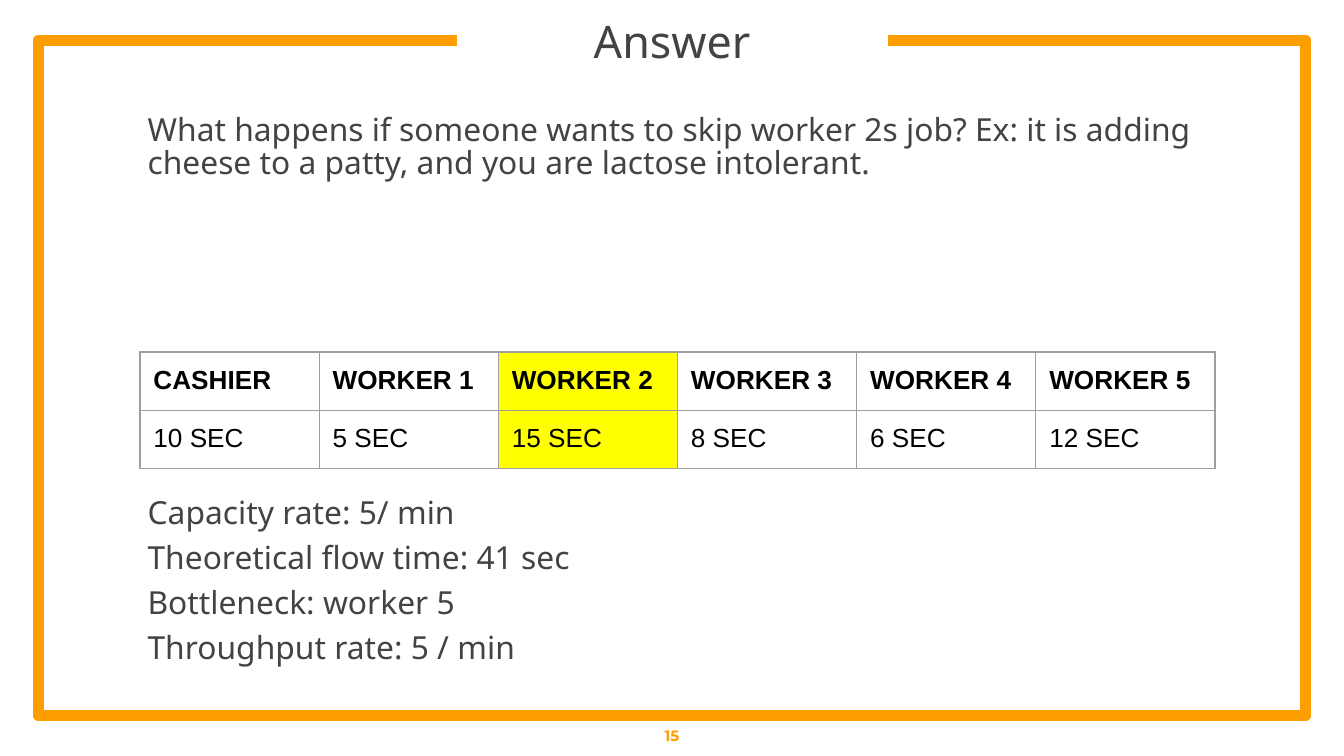
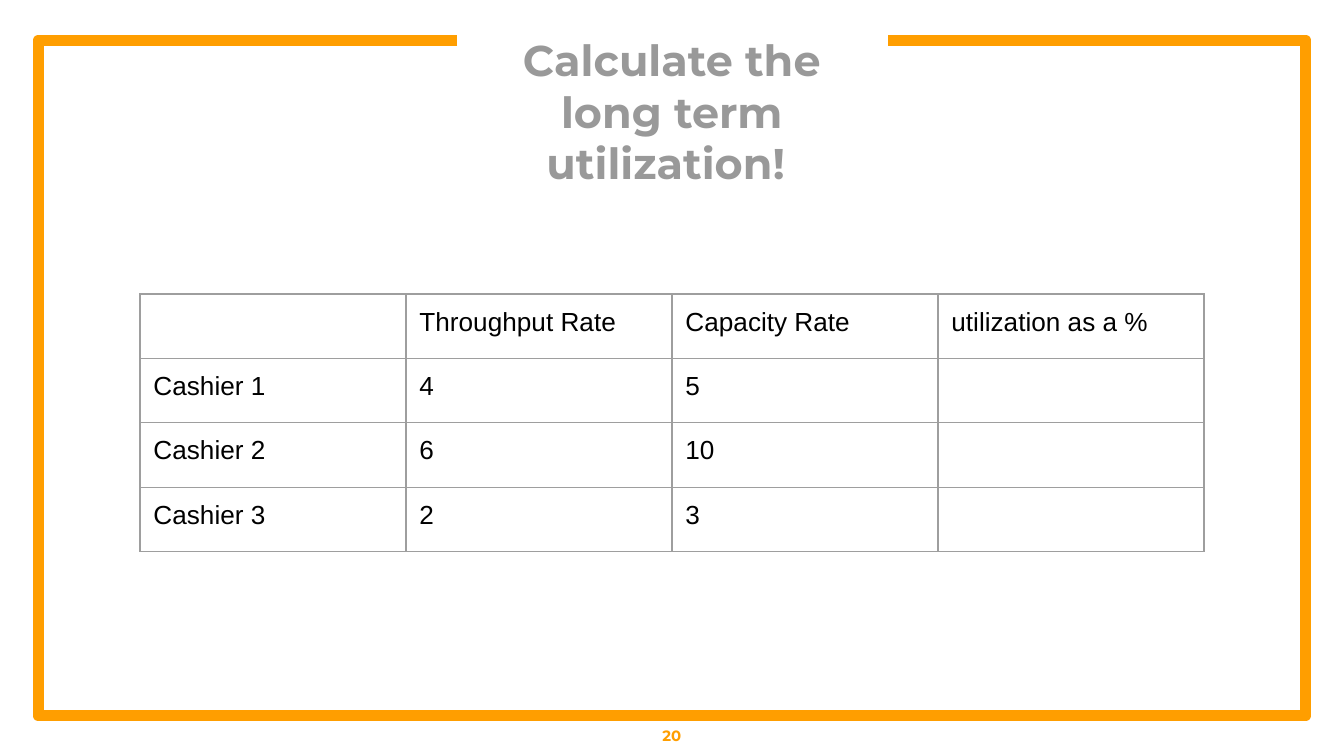
from dataclasses import dataclass

from lxml.etree import SubElement
from pptx import Presentation
from pptx.dml.color import RGBColor
from pptx.enum.text import MSO_ANCHOR, PP_ALIGN
from pptx.oxml.ns import qn
from pptx.util import Pt

# Content
SLIDES = [
    dict(
        number="15", title="Answer", title_style="plain_title", title_top=8,
        question="What happens if someone wants to skip worker 2s job? Ex: it is "
                 "adding cheese to a patty, and you are lactose intolerant.",
        results=["Capacity rate: 5/ min", "Theoretical flow time: 41 sec",
                 "Bottleneck: worker 5", "Throughput rate: 5 / min"],
        table=dict(
            top=188.6, col_width=96, row_height=30.2, bold_header=True, marked_col=2,
            rows=[["CASHIER", "WORKER 1", "WORKER 2", "WORKER 3", "WORKER 4", "WORKER 5"],
                  ["10 SEC", "5 SEC", "15 SEC", "8 SEC", "6 SEC", "12 SEC"]]),
    ),
    dict(
        number="20", title="Calculate the long term utilization! ",
        title_style="bold_title", title_top=45.5,
        table=dict(
            top=157.5, col_width=142.5, row_height=34.5, bold_header=False, marked_col=None,
            rows=[["", "Throughput Rate", "Capacity Rate", "utilization as a %"],
                  ["Cashier 1", "4", "5", ""],
                  ["Cashier 2", "6", "10", ""],
                  ["Cashier 3", "2", "3", ""]]),
    ),
]


# Theme: each text style is (font, size, colour, bold)
@dataclass(frozen=True)
class Theme:
    orange: str = "FF9E00"
    border: str = "9E9E9E"
    mark: str = "FFFF00"
    plain_title: tuple = ("Noto Sans", 24, "434343", False)
    bold_title: tuple = ("Montserrat", 23, "999999", True)
    body: tuple = ("Noto Sans", 17, "434343", False)
    cell: tuple = ("Arial", 14, "000000", False)
    header: tuple = ("Arial", 14, "000000", True)
    number: tuple = ("Montserrat", 8, "FF9E00", True)


THEME = Theme()
WIDTH, HEIGHT = 720, 405
INSET = 7.2
LEFT = 72
TABLE_LEFT = 75
TITLE_LEFT, TITLE_WIDTH, TITLE_HEIGHT = 255.3, 209.4, 28
FRAME = [(245, 21.6), (20.5, 21.6), (20.5, 383.5),
         (699.5, 383.5), (699.5, 21.6), (476, 21.6)]


def style_text(p, style):
    font, size, color, bold = style
    for r in p.runs:
        r.font.name, r.font.size, r.font.bold = font, Pt(size), bold
        r.font.color.rgb = RGBColor.from_string(color)


def add_text(s, box, lines, style, inset=INSET, align=PP_ALIGN.LEFT,
             anchor=MSO_ANCHOR.TOP, spacing=None):
    tf = s.shapes.add_textbox(*(Pt(v) for v in box)).text_frame
    tf.word_wrap, tf.vertical_anchor = True, anchor
    tf.margin_left = tf.margin_right = tf.margin_top = tf.margin_bottom = Pt(inset)
    for i, line in enumerate(lines):
        p = tf.add_paragraph() if i else tf.paragraphs[0]
        p.text, p.alignment = line, align
        if spacing:
            p.line_spacing = spacing
        if i:
            p.space_before = Pt(6)
        style_text(p, style)


def add_frame(s):
    points = [(Pt(x), Pt(y)) for x, y in FRAME]
    builder = s.shapes.build_freeform(*points[0])
    builder.add_line_segments(points[1:], close=False)
    sp = builder.convert_to_shape()
    sp.shadow.inherit = False
    sp.fill.background()
    sp.line.color.rgb = RGBColor.from_string(THEME.orange)
    sp.line.width = Pt(6)


def add_borders(cell):
    tc_pr = cell._tc.get_or_add_tcPr()
    for i, side in enumerate(("lnL", "lnR", "lnT", "lnB")):
        ln = tc_pr.makeelement(qn("a:" + side), {"w": str(Pt(0.75))})
        fill = SubElement(ln, qn("a:solidFill"))
        SubElement(fill, qn("a:srgbClr"), val=THEME.border)
        tc_pr.insert(i, ln)


def add_table(s, top, col_width, row_height, bold_header, marked_col, rows):
    n_rows, n_cols = len(rows), len(rows[0])
    table = s.shapes.add_table(n_rows, n_cols, Pt(TABLE_LEFT), Pt(top),
                               Pt(col_width * n_cols), Pt(row_height * n_rows)).table
    table.first_row = table.horz_banding = False
    for col in table.columns:
        col.width = Pt(col_width)
    for i, row in enumerate(rows):
        table.rows[i].height = Pt(row_height)
        for j, text in enumerate(row):
            cell = table.cell(i, j)
            cell.margin_left = cell.margin_right = Pt(INSET)
            cell.margin_top = cell.margin_bottom = Pt(INSET)
            p = cell.text_frame.paragraphs[0]
            if text:
                p.text = text
                style_text(p, THEME.header if bold_header and i == 0 else THEME.cell)
            else:
                # Empty cells keep the table's type size, so rows do not grow
                end = p._p.get_or_add_endParaRPr()
                end.set("sz", str(THEME.cell[1] * 100))
            if j == marked_col:
                cell.fill.solid()
                cell.fill.fore_color.rgb = RGBColor.from_string(THEME.mark)
            else:
                cell.fill.background()
            add_borders(cell)


def build_slide(prs, content):
    s = prs.slides.add_slide(prs.slide_layouts[6])
    # Frame, title and page number
    add_frame(s)
    add_text(s, (TITLE_LEFT, content["title_top"], TITLE_WIDTH, TITLE_HEIGHT),
             [content["title"]], getattr(THEME, content["title_style"]),
             inset=0, align=PP_ALIGN.CENTER, anchor=MSO_ANCHOR.MIDDLE)
    add_text(s, (0, 383.5, WIDTH, 21.5), [content["number"]], THEME.number,
             align=PP_ALIGN.CENTER, anchor=MSO_ANCHOR.MIDDLE)
    # Question above the table, results below it
    if "question" in content:
        add_text(s, (LEFT, 54, 576, 56), [content["question"]], THEME.body, spacing=0.88)
        add_text(s, (LEFT, 259.7, 576, 116), content["results"], THEME.body, spacing=0.88)
    add_table(s, **content["table"])


def main():
    prs = Presentation()
    prs.slide_width, prs.slide_height = Pt(WIDTH), Pt(HEIGHT)
    for content in SLIDES:
        build_slide(prs, content)
    prs.save("out.pptx")


if __name__ == "__main__":
    main()
